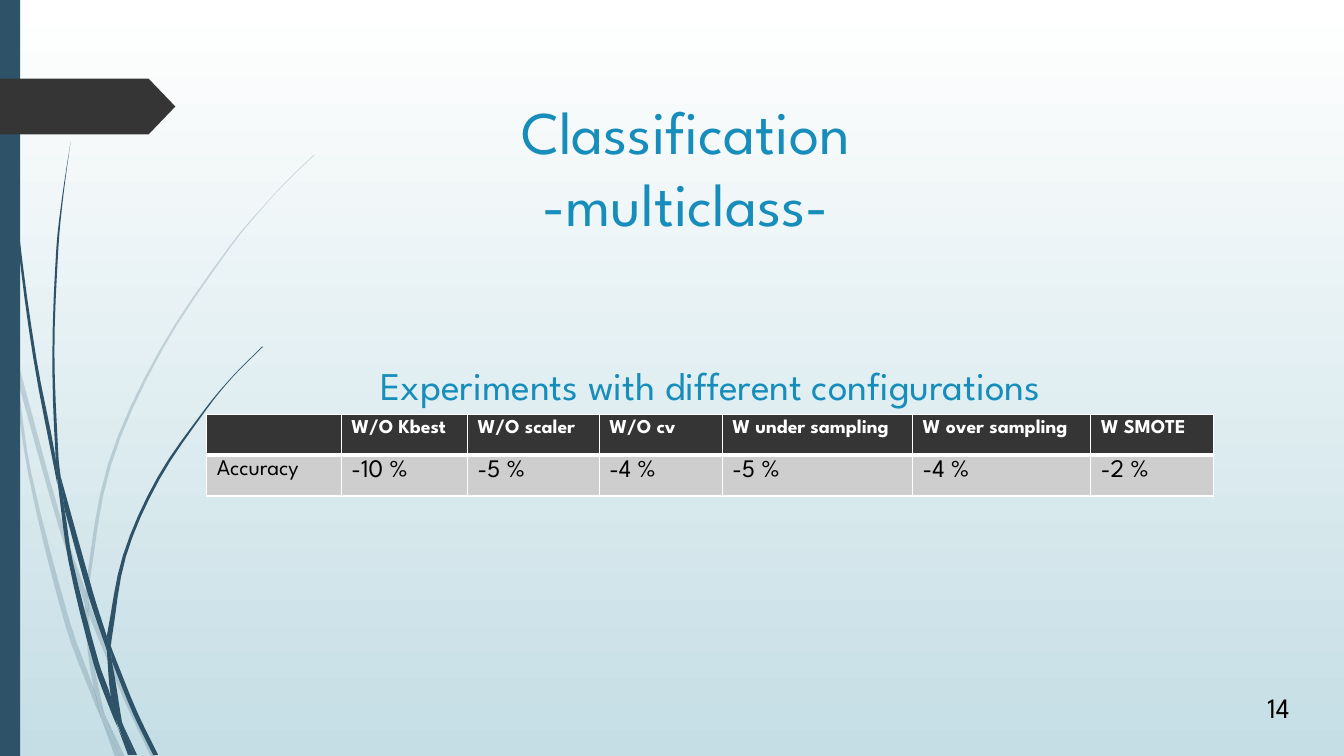
from math import dist

from lxml import etree
from pptx import Presentation
from pptx.dml.color import RGBColor
from pptx.enum.shapes import MSO_SHAPE
from pptx.enum.text import MSO_ANCHOR, MSO_AUTO_SIZE, PP_ALIGN
from pptx.oxml.ns import qn
from pptx.util import Cm, Pt

RECTANGLE, PENTAGON = MSO_SHAPE.RECTANGLE, MSO_SHAPE.PENTAGON
TOP, MIDDLE = MSO_ANCHOR.TOP, MSO_ANCHOR.MIDDLE
LEFT, CENTER, RIGHT = PP_ALIGN.LEFT, PP_ALIGN.CENTER, PP_ALIGN.RIGHT
NO_FIT = MSO_AUTO_SIZE.NONE

WHITE = RGBColor(0xFF, 0xFF, 0xFF)
BLACK = RGBColor(0x00, 0x00, 0x00)
MIST = RGBColor(0xC5, 0xDE, 0xE5)
NAVY = RGBColor(0x2E, 0x53, 0x69)
CHARCOAL = RGBColor(0x35, 0x35, 0x35)
SILVER = RGBColor(0xCE, 0xCE, 0xCE)
BLUE = RGBColor(0x17, 0x8D, 0xBB)
FONT = "League Spartan"

# A piece of grass is two edges running down the page, on a grid of GRID centimetres.
GRID = 2.54
PALE_GRASS = [
    ([(0, 2.82), (0.09, 3.22), (0.11, 3.5)], [(0, 2.99), (0.1, 3.44), (0.11, 3.5)]),
    ([(0.14, 3.45), (0.62, 5.2), (0.85, 5.86)], [(0.17, 3.76), (0.58, 5.22), (0.84, 5.99)]),
    ([(0.88, 5.96), (0.92, 6.07), (1.27, 6.92), (1.55, 7.51)],
     [(0.88, 6.1), (1.23, 6.94), (1.5, 7.51)]),
    ([(1.05, 7.11), (1.24, 7.51)], [(1.05, 7.11), (1.19, 7.51)]),
    ([(0.11, 3.5), (0.17, 3.76), (0.31, 4.69), (0.7, 6.19), (0.93, 6.83), (1.01, 7.14)],
     [(0.11, 3.5), (0.28, 4.7), (0.65, 6.21), (0.92, 6.93), (1.01, 7.14)]),
    ([(0.84, 5.99), (0.88, 6.1), (0.91, 6.46), (1.03, 7.06), (1.05, 7.11)],
     [(0.84, 5.99), (0.87, 6.46), (0.93, 6.83), (0.96, 6.92), (1.05, 7.11)]),
    ([(3.12, 1.53), (2.89, 1.75), (2.68, 1.97), (2.28, 2.44), (1.58, 3.48),
      (1.07, 4.61), (0.85, 5.84), (0.88, 5.96)],
     [(3.12, 1.54), (2.9, 1.75), (2.68, 1.98), (2.29, 2.45), (1.6, 3.49),
      (1.1, 4.62), (0.88, 5.84), (0.88, 5.96)]),
    ([(1.01, 7.14), (1.14, 7.51)], [(1.01, 7.14), (1.19, 7.51)]),
    ([(0.85, 5.86), (0.84, 5.99), (0.88, 6.1)], [(0.85, 5.86), (0.88, 5.96), (0.88, 6.1)]),
    ([(0.93, 6.83), (0.99, 7.07), (1.01, 7.14), (1.19, 7.51)],
     [(0.93, 6.83), (0.96, 6.92), (1.05, 7.11), (1.19, 7.51)]),
]
DARK_GRASS = [
    ([(0.03, 0), (0.04, 0.48), (0.07, 1.1), (0.17, 2.33), (0.33, 3.55), (0.57, 4.81)],
     [(0.04, 0), (0.05, 0.48), (0.08, 1.09), (0.19, 2.32), (0.36, 3.55),
      (0.55, 4.53), (0.57, 4.81)]),
    ([(0.6, 4.72), (0.93, 5.9), (1.06, 6.31)], [(0.64, 5.05), (0.88, 5.92), (1.06, 6.45)]),
    ([(1.1, 6.41), (1.13, 6.49), (1.36, 7.06), (1.57, 7.49)],
     [(1.11, 6.56), (1.32, 7.08), (1.52, 7.49)]),
    ([(0.57, 4.77), (0.64, 5.05), (0.72, 5.56), (0.98, 6.57), (1.1, 6.91), (1.17, 7.22)],
     [(0.57, 4.77), (0.68, 5.57), (0.93, 6.59), (1.11, 7.08), (1.17, 7.22)]),
    ([(0.7, 1.41), (0.62, 1.93), (0.56, 2.45), (0.52, 3.49), (0.55, 4.49), (0.6, 4.72)],
     [(0.7, 1.41), (0.63, 1.93), (0.58, 2.45), (0.54, 3.49), (0.58, 4.53), (0.6, 4.72)]),
    ([(1.22, 7.19), (1.33, 7.49)], [(1.22, 7.19), (1.36, 7.49)]),
    ([(0.55, 4.49), (0.57, 4.77), (0.64, 5.05)], [(0.55, 4.49), (0.6, 4.72), (0.64, 5.05)]),
    ([(2.6, 3.44), (2.31, 3.73), (2.04, 4.05), (1.56, 4.74), (1.22, 5.51), (1.06, 6.31)],
     [(2.61, 3.44), (2.31, 3.74), (2.05, 4.06), (1.58, 4.76), (1.25, 5.52),
      (1.11, 6.33), (1.1, 6.41)]),
    ([(1.17, 7.22), (1.27, 7.49)], [(1.17, 7.22), (1.31, 7.49)]),
    ([(1.06, 6.45), (1.1, 6.91), (1.16, 7.06), (1.22, 7.19)],
     [(1.06, 6.45), (1.11, 6.56), (1.21, 7.16), (1.22, 7.19)]),
    ([(1.06, 6.31), (1.06, 6.45), (1.11, 6.56)], [(1.06, 6.31), (1.1, 6.41), (1.11, 6.56)]),
    ([(1.1, 6.91), (1.16, 7.17), (1.3, 7.49)], [(1.1, 6.91), (1.22, 7.19), (1.33, 7.49)]),
]

HEADINGS = ["", "W/O Kbest", "W/O scaler", "W/O cv",
            "W under sampling", "W over sampling", "W SMOTE"]
ACCURACY = ["Accuracy", "-10 %", "-5 %", "-4 %", "-5 %", "-4 %", "-2 %"]
COLUMN_WIDTHS = [3.39, 3.18, 3.32, 3.1, 4.8, 4.49, 3.1]


def write(frame, text, size, color, bold=False, align=LEFT):
    para = frame.paragraphs[0]
    para.text = text
    para.alignment = align
    for span in para.runs:
        span.font.name = FONT
        span.font.size = Pt(size)
        span.font.bold = bold
        span.font.color.rgb = color


def write_box(box, text, size, color, align, anchor=TOP):
    frame = box.text_frame
    frame.word_wrap = True
    frame.auto_size = NO_FIT
    frame.vertical_anchor = anchor
    write(frame, text, size, color, align=align)


def paint(shape, color, opacity=100):
    shape.shadow.inherit = False
    shape.line.fill.background()
    shape.fill.solid()
    shape.fill.fore_color.rgb = color
    if opacity < 100:
        tint = shape._element.spPr.find(f"{qn('a:solidFill')}/{qn('a:srgbClr')}")
        etree.SubElement(tint, qn("a:alpha"), val=str(opacity * 1000))


def smooth(edge, steps=4):
    """Return the edge with each stretch bent along the slopes at its ends."""
    if len(edge) == 2:
        return edge
    slopes = []
    for before, after in zip([edge[0], *edge], [*edge[1:], edge[-1]]):
        span = dist(before, after)
        slopes.append([(b - a) / span for a, b in zip(before, after)])
    curve = []
    for start, end, leave, arrive in zip(edge, edge[1:], slopes, slopes[1:]):
        length = dist(start, end)
        for step in range(steps):
            t = step / steps
            blend = t * t * (3 - 2 * t)
            curve.append(tuple(
                a + (b - a) * blend + length * t * (1 - t) * (u * (1 - t) - v * t)
                for a, b, u, v in zip(start, end, leave, arrive)))
    return curve + [edge[-1]]


def draw_grass(page, edges, opacity):
    left_edge, right_edge = map(smooth, edges)
    outline = [(Cm(x * GRID), Cm(y * GRID)) for x, y in left_edge + right_edge[::-1]]
    builder = page.shapes.build_freeform(*outline[0])
    builder.add_line_segments(outline[1:], close=True)
    paint(builder.convert_to_shape(), NAVY, opacity)


def draw_backdrop(page, height):
    fill = page.background.fill
    fill.gradient()
    fill.gradient_angle = 270
    for stop, color in zip(fill.gradient_stops, (WHITE, MIST)):
        stop.color.rgb = color
    for grass, opacity in ((PALE_GRASS, 20), (DARK_GRASS, 100)):
        for edges in grass:
            draw_grass(page, edges, opacity)
    paint(page.shapes.add_shape(RECTANGLE, 0, 0, Cm(0.51), height), NAVY)
    tag = page.shapes.add_shape(PENTAGON, 0, Cm(1.98), Cm(4.42), Cm(1.41))
    tag.adjustments[0] = 0.48
    paint(tag, CHARCOAL)


def place_title(page, left, top, width, height):
    title = page.shapes.title
    title.left, title.top, title.width, title.height = left, top, width, height
    write_box(title, "Classification\v-multiclass-", 43.2, BLUE, CENTER)


def set_borders(cell, **widths):
    """Draw white cell borders, with widths in points by side."""
    properties = cell._tc.get_or_add_tcPr()
    for index, (side, width) in enumerate(widths.items()):
        border = etree.Element(qn(f"a:ln{side}"), w=str(Pt(width)))
        fill = etree.SubElement(border, qn("a:solidFill"))
        etree.SubElement(fill, qn("a:srgbClr"), val=str(WHITE))
        properties.insert(index, border)


def draw_results(page, left, top, width, caption_height, row_height):
    caption = page.shapes.add_textbox(left + Cm(1.4), top, width - Cm(2.8), caption_height)
    write_box(caption, "Experiments with different configurations", 28, BLUE, CENTER)
    table = page.shapes.add_table(2, len(HEADINGS), left, top + caption_height,
                                  width, 2 * row_height).table
    for column, column_width in zip(table.columns, COLUMN_WIDTHS):
        column.width = Cm(column_width)
    for index, (heading, value) in enumerate(zip(HEADINGS, ACCURACY)):
        head, body = table.cell(0, index), table.cell(1, index)
        for cell, color in ((head, CHARCOAL), (body, SILVER)):
            cell.fill.solid()
            cell.fill.fore_color.rgb = color
        write(head.text_frame, heading, 14, WHITE, bold=True)
        write(body.text_frame, value, 18 if index else 16, BLACK)
        set_borders(head, L=1, R=1, T=1, B=3)
        set_borders(body, L=1, R=1, T=3, B=1)


def main():
    deck = Presentation()
    deck.slide_width, deck.slide_height = Cm(33.87), Cm(19.05)
    page = deck.slides.add_slide(deck.slide_layouts.get_by_name("Title Only"))
    draw_backdrop(page, deck.slide_height)
    place_title(page, Cm(7.3), Cm(2.23), Cm(19.96), Cm(3))
    number = page.shapes.add_textbox(Cm(30.59), Cm(17.32), Cm(2.16), Cm(1.02))
    write_box(number, "14", 20, BLACK, RIGHT, MIDDLE)
    draw_results(page, Cm(5.21), Cm(8.99), Cm(25.38), Cm(1.45), Cm(1.03))
    deck.save("out.pptx")


if __name__ == "__main__":
    main()
